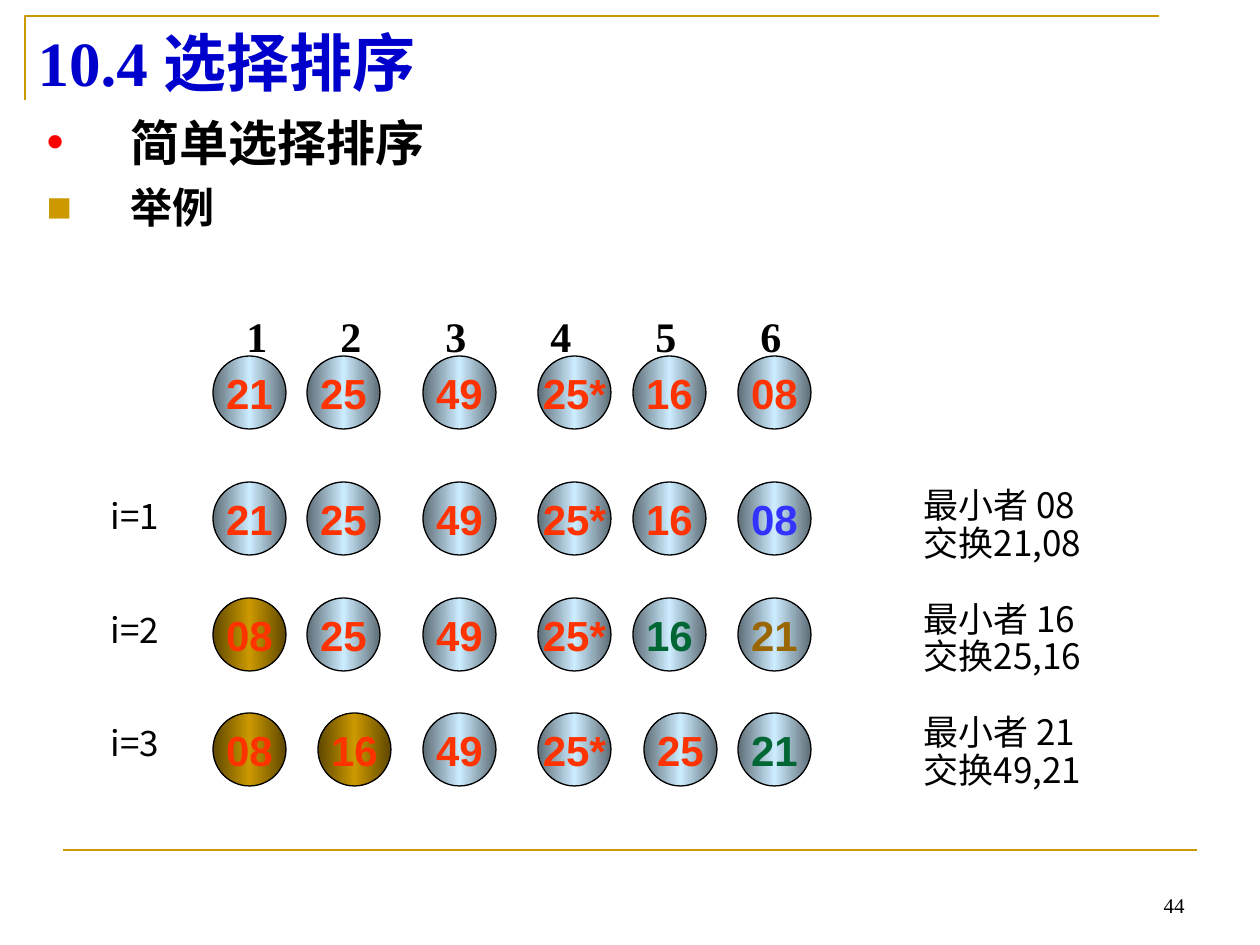
import copy

import pptx
import pptx.dml.color
import pptx.enum.shapes
import pptx.enum.text
import pptx.oxml
import pptx.oxml.ns
import pptx.util

Align = pptx.enum.text.PP_ALIGN
Anchor = pptx.enum.text.MSO_ANCHOR

TITLE = "10.4 选择排序"
BULLETS = [
    ("简单选择排序", "topic", "•", "topic_mark", 7),
    ("举例", "example", "■", "accent", 6),
]
INDEXES = ["1", "2", "3", "4", "5", "6"]
# Each pass: number of sorted keys, then (key, colour) pairs.
PASSES = [
    (0, [("21", "key"), ("25", "key"), ("49", "key"),
         ("25*", "key"), ("16", "key"), ("08", "key")]),
    (0, [("21", "key"), ("25", "key"), ("49", "key"),
         ("25*", "key"), ("16", "key"), ("08", "first_min")]),
    (1, [("08", "key"), ("25", "key"), ("49", "key"),
         ("25*", "key"), ("16", "later_min"), ("21", "swapped")]),
    (2, [("08", "key"), ("16", "key"), ("49", "key"),
         ("25*", "key"), ("25", "key"), ("21", "later_min")]),
]
STEPS = ["i=1", "i=2", "i=3"]
NOTES = [("最小者 08", "交换21,08"), ("最小者 16", "交换25,16"), ("最小者 21", "交换49,21")]
PAGE_NUMBER = "44"

THEME = {
    "colours": {
        "title": "0000CC", "text": "000000", "accent": "CC9900",
        "topic_mark": "FF0000", "key": "FF3300", "first_min": "3333FF",
        "later_min": "006633", "swapped": "996600",
    },
    "balls": {"open": ("5E6D76", "CCECFF", "5E6D76"),
              "sorted": ("5E4700", "CC9900", "5E4700")},
    # font name, size in points, bold
    "type": {
        "title": ("Times New Roman", 36, True),
        "topic": ("Noto Sans CJK SC", 28, True),
        "example": ("Noto Sans CJK SC", 24, True),
        "index": ("Times New Roman", 24, True),
        "ball": ("Arial", 24, True),
        "note": ("Noto Sans CJK SC", 20, False),
        "page": ("Times New Roman", 12, False),
    },
}

SCALE = 914400 / 126
COLUMNS = [213, 307, 423, 538, 633, 738]
ROWS = [356, 482, 598, 713]
SHIFTED = {(3, 1): 11, (3, 4): 11}  # balls standing right of their column
BALL = 73
INDEX_STOPS = [94 + 105 * step for step in range(5)]
NOTE_LINE = 38
NOTE_PITCH = 3 * NOTE_LINE


def px(length):
    return pptx.util.Emu(round(length * SCALE))


def rgb(name):
    return pptx.dml.color.RGBColor.from_string(THEME["colours"].get(name, name))


def element(tag, parent, **attributes):
    child = pptx.oxml.parse_xml(f"<a:{tag} {pptx.oxml.ns.nsdecls('a')}/>")
    for name, value in attributes.items():
        child.set(name, str(value))
    parent.append(child)
    return child


def set_all(target, values):
    for name, value in values.items():
        setattr(target, name, value)


def place(box, left, top, width, height):
    set_all(box, {"left": px(left), "top": px(top), "width": px(width), "height": px(height)})


def write(para, text, style, colour="text", **layout):
    set_all(para, layout)
    span = para.add_run()
    span.text = text
    name, size, bold = THEME["type"][style]
    set_all(span.font, {"name": name, "size": pptx.util.Pt(size), "bold": bold})
    span.font.color.rgb = rgb(colour)
    element("ea", span.font._element, typeface="Noto Sans CJK SC")


def add_lines(frame, count):
    """Return count paragraphs of the frame, starting with the one it has."""
    return [frame.paragraphs[0]] + [frame.add_paragraph() for _ in range(count - 1)]


def add_text_box(page, left, top, width, height, wrap=True):
    frame = page.shapes.add_textbox(px(left), px(top), px(width), px(height)).text_frame
    frame.word_wrap = wrap
    return frame


def draw_line(shape):
    shape.line.color.rgb = rgb("accent")
    shape.line.width = pptx.util.Pt(1.5)


def add_frame_lines(page):
    builder = page.shapes.build_freeform(px(25), px(100), scale=1.0)
    builder.add_line_segments([(px(25), px(16)), (px(1159), px(16))], close=False)
    corner = builder.convert_to_shape()
    corner.shadow.inherit = False
    corner.fill.background()
    draw_line(corner)
    rule = page.shapes.add_connector(
        pptx.enum.shapes.MSO_CONNECTOR.STRAIGHT, px(63), px(850), px(1197), px(850))
    draw_line(rule)
    element("effectLst", rule._element.spPr)


def fill_placeholders(page):
    title, body = page.shapes.title, page.placeholders[1]
    place(title, 25, 16, 1134, 90)
    place(body, 34, 106, 1160, 258)
    for box, anchor in ((title, Anchor.MIDDLE), (body, Anchor.TOP)):
        set_all(box.text_frame, {"auto_size": pptx.enum.text.MSO_AUTO_SIZE.NONE,
                                 "vertical_anchor": anchor, "word_wrap": True})
    write(title.text_frame.paragraphs[0], TITLE, "title", "title", alignment=Align.LEFT)
    paras = add_lines(body.text_frame, len(BULLETS))
    for number, (para, bullet) in enumerate(zip(paras, BULLETS)):
        text, style, mark, mark_colour, before = bullet
        properties = para._p.get_or_add_pPr()
        properties.set("marL", str(px(84)))
        properties.set("indent", str(px(-84)))
        element("srgbClr", element("buClr", properties), val=rgb(mark_colour))
        element("buFont", properties, typeface="Arial")
        element("buChar", properties, char=mark)
        write(para, text, style, space_before=pptx.util.Pt(before if number else 0))


def add_ball(page, left, top, text, colour, kind):
    ball = page.shapes.add_shape(
        pptx.enum.shapes.MSO_SHAPE.OVAL, px(left), px(top), px(BALL), px(BALL))
    ball.shadow.inherit = False
    ball.fill.gradient()
    ball.fill.gradient_angle = 0
    stops = ball.fill._xPr.find(pptx.oxml.ns.qn("a:gradFill")).gsLst
    stops.insert(1, copy.deepcopy(stops[0]))
    for stop, position, shade in zip(ball.fill.gradient_stops, (0, 0.5, 1), THEME["balls"][kind]):
        stop.position = position
        stop.color.rgb = rgb(shade)
    ball.line.color.rgb = rgb("text")
    ball.line.width = pptx.util.Pt(0.75)
    set_all(ball.text_frame, {"word_wrap": False, "vertical_anchor": Anchor.MIDDLE})
    write(ball.text_frame.paragraphs[0], text, "ball", colour, alignment=Align.CENTER)


def add_passes(page):
    for row, (sorted_count, keys) in enumerate(PASSES):
        for column, (text, colour) in enumerate(keys):
            left = COLUMNS[column] + SHIFTED.get((row, column), 0)
            kind = "sorted" if column < sorted_count else "open"
            add_ball(page, left, ROWS[row], text, colour, kind)


def add_indexes(page):
    para = add_text_box(page, 234, 304, 604, 63).paragraphs[0]
    stops = element("tabLst", para._p.get_or_add_pPr())
    for position in INDEX_STOPS:
        element("tab", stops, pos=px(position), algn="l")
    write(para, "\t".join(INDEXES), "index")


def add_notes(page, groups, *area):
    """Write groups of lines whose first lines are one note pitch apart."""
    lines = [(text, group > 0 and place_in_group == 0, len(groups[group - 1]))
             for group, texts in enumerate(groups)
             for place_in_group, text in enumerate(texts)]
    frame = add_text_box(page, *area)
    for para, (text, opens_group, lines_above) in zip(add_lines(frame, len(lines)), lines):
        gap = NOTE_PITCH - lines_above * NOTE_LINE if opens_group else 0
        write(para, text, "note", line_spacing=0.9, space_before=px(gap))


def main():
    deck = pptx.Presentation()
    deck.slide_width, deck.slide_height = px(1260), px(945)
    page = deck.slides.add_slide(deck.slide_layouts[1])
    add_frame_lines(page)
    fill_placeholders(page)
    add_notes(page, NOTES, 911, 482, 194, 315, False)
    add_notes(page, [(step,) for step in STEPS], 98, 493, 78, 277)
    add_indexes(page)
    add_passes(page)
    number = add_text_box(page, 903, 861, 294, 63)
    number.vertical_anchor = Anchor.BOTTOM
    write(number.paragraphs[0], PAGE_NUMBER, "page", alignment=Align.RIGHT)
    deck.save("out.pptx")


if __name__ == "__main__":
    main()
